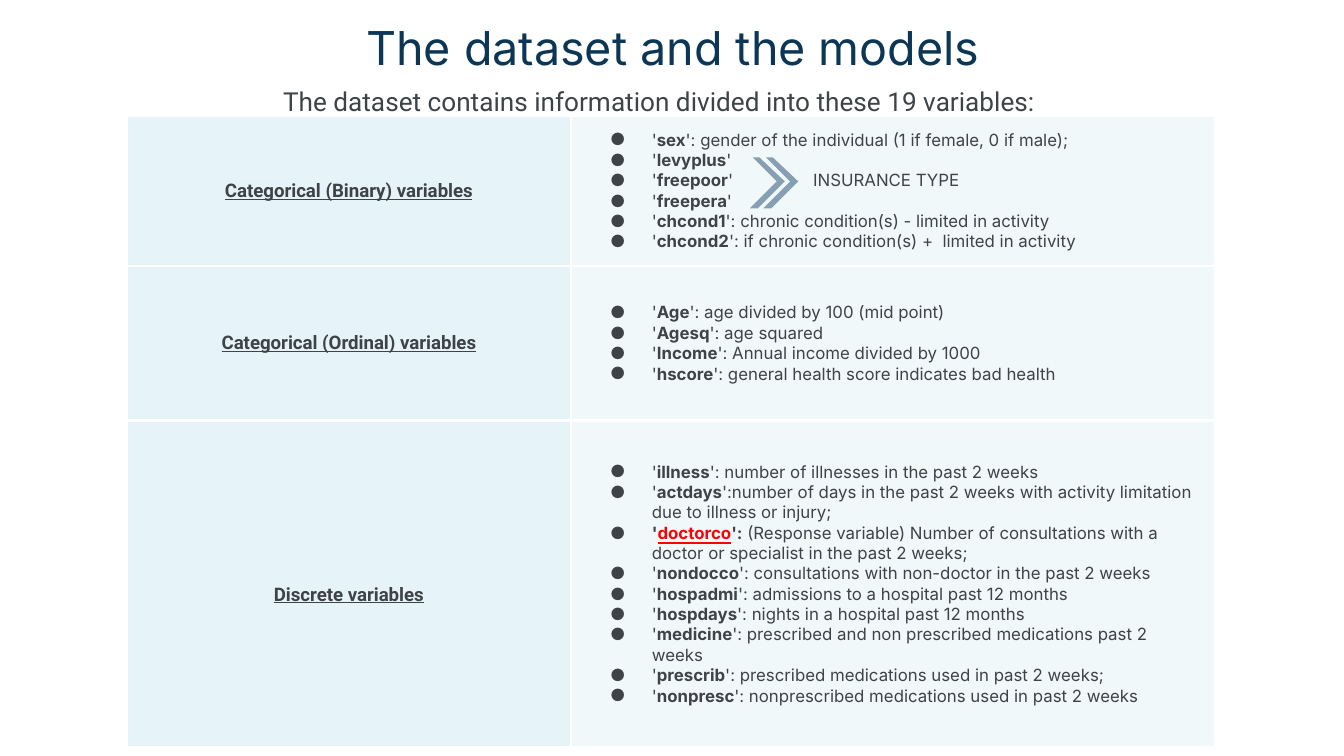
from dataclasses import dataclass

from lxml import etree
from pptx import Presentation
from pptx.dml.color import RGBColor
from pptx.enum.text import MSO_ANCHOR, PP_ALIGN
from pptx.oxml.ns import qn
from pptx.util import Inches, Pt

CENTER = PP_ALIGN.CENTER
MIDDLE = MSO_ANCHOR.MIDDLE
BLANK_LAYOUT = 6


@dataclass(frozen=True)
class Theme:
    title_color: str = "0B3656"
    text_color: str = "3D4346"
    response_color: str = "FF0000"
    category_fill: str = "E6F3F9"
    variable_fill: str = "F1F8FA"
    border_color: str = "FFFFFF"
    chevron_color: str = "869FB2"
    heading_font: str = "Roboto"
    body_font: str = "Inter"
    title_size: float = 25
    subtitle_size: float = 14
    category_size: float = 10
    variable_size: float = 9
    border_width: float = 1.5


THEME = Theme()


@dataclass(frozen=True)
class Variable:
    name: str
    description: str
    response: bool = False


@dataclass(frozen=True)
class Category:
    name: str
    height: float
    variables: tuple[Variable, ...]
    top_margin: float = 0


CATEGORIES = (
    Category("Categorical (Binary) variables", 1.12, (
        Variable("sex", ": gender of the individual (1 if female, 0 if male);"),
        Variable("levyplus", ""),
        Variable("freepoor", "\tINSURANCE TYPE"),
        Variable("freepera", ""),
        Variable("chcond1", ": chronic condition(s) - limited in activity"),
        Variable("chcond2", ": if chronic condition(s) +  limited in activity"),
    )),
    Category("Categorical (Ordinal) variables", 1.15, (
        Variable("Age", ": age divided by 100 (mid point)"),
        Variable("Agesq", ": age squared"),
        Variable("Income", ": Annual income divided by 1000"),
        Variable("hscore", ": general health score indicates bad health"),
    )),
    Category("Discrete variables", 2.43, (
        Variable("illness", ": number of illnesses in the past 2 weeks"),
        Variable("actdays", ":number of days in the past 2 weeks with activity "
                            "limitation due to illness or injury;"),
        Variable("doctorco", " (Response variable) Number of consultations with a "
                             "doctor or specialist in the past 2 weeks;", True),
        Variable("nondocco", ": consultations with non-doctor in the past 2 weeks"),
        Variable("hospadmi", ": admissions to a hospital past 12 months"),
        Variable("hospdays", ": nights in a hospital past 12 months"),
        Variable("medicine", ": prescribed and non prescribed medications past 2 weeks"),
        Variable("prescrib", ": prescribed medications used in past 2 weeks;"),
        Variable("nonpresc", ": nonprescribed medications used in past 2 weeks"),
    ), 0.16),
)
COLUMN_WIDTHS = (3.31, 4.79)
CHEVRON_POINTS = ((0.02, 0), (0.2, 0.18), (0, 0.38), (0.06, 0.38), (0.26, 0.18), (0.07, 0))


def add_text(paragraph, text: str, *, size: float = THEME.variable_size,
             font: str = THEME.body_font, color: str = THEME.text_color,
             bold: bool = False, underline: bool = False) -> None:
    run = paragraph.add_run()
    run.text = text
    run.font.size = Pt(size)
    run.font.name = font
    run.font.color.rgb = RGBColor.from_string(color)
    run.font.bold = bold
    run.font.underline = underline


def add_heading(slide, text: str, left: float, top: float, height: float,
                line_spacing: float = 1.0, **text_format) -> None:
    shape = slide.shapes.add_textbox(Inches(left), Inches(top), Inches(8.43), Inches(height))
    frame = shape.text_frame
    frame.word_wrap = True
    frame.margin_left = frame.margin_right = Inches(0.1)
    frame.margin_top = frame.margin_bottom = Inches(0.1)
    paragraph = frame.paragraphs[0]
    paragraph.alignment = CENTER
    paragraph.line_spacing = line_spacing
    add_text(paragraph, text, **text_format)


def add_bullet(paragraph, tabbed: bool) -> None:
    properties = paragraph._p.get_or_add_pPr()
    properties.set("marL", str(Inches(0.5)))
    properties.set("indent", str(Inches(-0.31)))
    bullet_color = etree.SubElement(properties, qn("a:buClr"))
    etree.SubElement(bullet_color, qn("a:srgbClr"), val=THEME.text_color)
    etree.SubElement(properties, qn("a:buFont"), typeface=THEME.body_font)
    etree.SubElement(properties, qn("a:buChar"), char="●")
    if tabbed:
        tabs = etree.SubElement(properties, qn("a:tabLst"))
        etree.SubElement(tabs, qn("a:tab"), pos=str(Inches(1.7)), algn="l")


def style_cell(cell, fill: str, top_margin: float = 0) -> None:
    cell.vertical_anchor = MIDDLE
    cell.margin_left = cell.margin_right = Inches(0.1)
    cell.margin_top, cell.margin_bottom = Inches(top_margin), 0
    properties = cell._tc.get_or_add_tcPr()
    for side in ("lnL", "lnR", "lnT", "lnB"):
        line = etree.SubElement(properties, qn(f"a:{side}"), w=str(Pt(THEME.border_width)))
        line_fill = etree.SubElement(line, qn("a:solidFill"))
        etree.SubElement(line_fill, qn("a:srgbClr"), val=THEME.border_color)
    cell.fill.solid()
    cell.fill.fore_color.rgb = RGBColor.from_string(fill)


def write_variable(paragraph, variable: Variable) -> None:
    add_bullet(paragraph, "\t" in variable.description)
    response = variable.response
    add_text(paragraph, "'", bold=response)
    add_text(paragraph, variable.name, bold=True, underline=response,
             color=THEME.response_color if response else THEME.text_color)
    if response:
        add_text(paragraph, "':", bold=True)
        add_text(paragraph, variable.description)
    else:
        add_text(paragraph, "'" + variable.description)


def add_variable_table(slide) -> None:
    height = sum(category.height for category in CATEGORIES)
    table = slide.shapes.add_table(
        len(CATEGORIES), len(COLUMN_WIDTHS), Inches(0.94), Inches(0.86),
        Inches(sum(COLUMN_WIDTHS)), Inches(height)).table
    table.first_row = table.horz_banding = False
    for column, width in zip(table.columns, COLUMN_WIDTHS):
        column.width = Inches(width)
    for row, category in zip(table.rows, CATEGORIES):
        row.height = Inches(category.height)
        name_cell, variable_cell = row.cells
        style_cell(name_cell, THEME.category_fill, category.top_margin)
        style_cell(variable_cell, THEME.variable_fill)
        paragraph = name_cell.text_frame.paragraphs[0]
        paragraph.alignment = CENTER
        add_text(paragraph, category.name, size=THEME.category_size,
                 font=THEME.heading_font, bold=True, underline=True)
        frame = variable_cell.text_frame
        for index, variable in enumerate(category.variables):
            write_variable(frame.add_paragraph() if index else frame.paragraphs[0], variable)


def add_chevron(slide, left: float, top: float) -> None:
    points = [(Inches(left + x), Inches(top + y)) for x, y in CHEVRON_POINTS]
    builder = slide.shapes.build_freeform(*points[0])
    builder.add_line_segments(points[1:], close=True)
    shape = builder.convert_to_shape()
    shape.shadow.inherit = False
    shape.fill.solid()
    shape.fill.fore_color.rgb = RGBColor.from_string(THEME.chevron_color)
    shape.line.fill.background()


def main() -> None:
    presentation = Presentation()
    presentation.slide_width = Inches(10)
    presentation.slide_height = Inches(10) * 9 // 16
    slide = presentation.slides.add_slide(presentation.slide_layouts[BLANK_LAYOUT])
    add_heading(slide, "The dataset and the models", 0.79, 0.04, 0.63,
                size=THEME.title_size, color=THEME.title_color)
    add_heading(slide, "The dataset contains information divided into these 19 variables:",
                0.69, 0.5, 0.49, line_spacing=1.15,
                size=THEME.subtitle_size, font=THEME.heading_font)
    add_variable_table(slide)
    for left in (5.68, 5.58):
        add_chevron(slide, left, 1.17)
    presentation.save("out.pptx")


if __name__ == "__main__":
    main()
